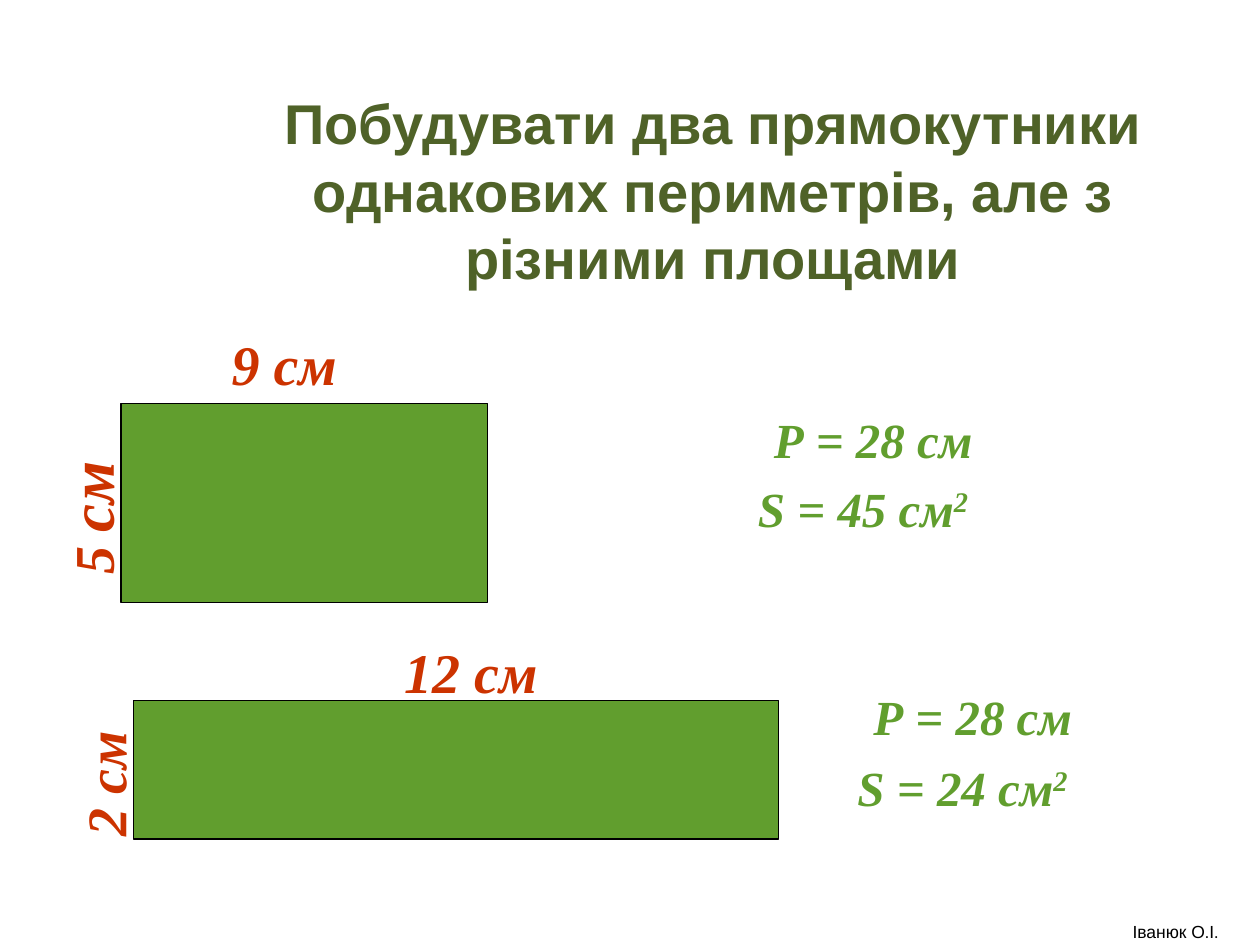
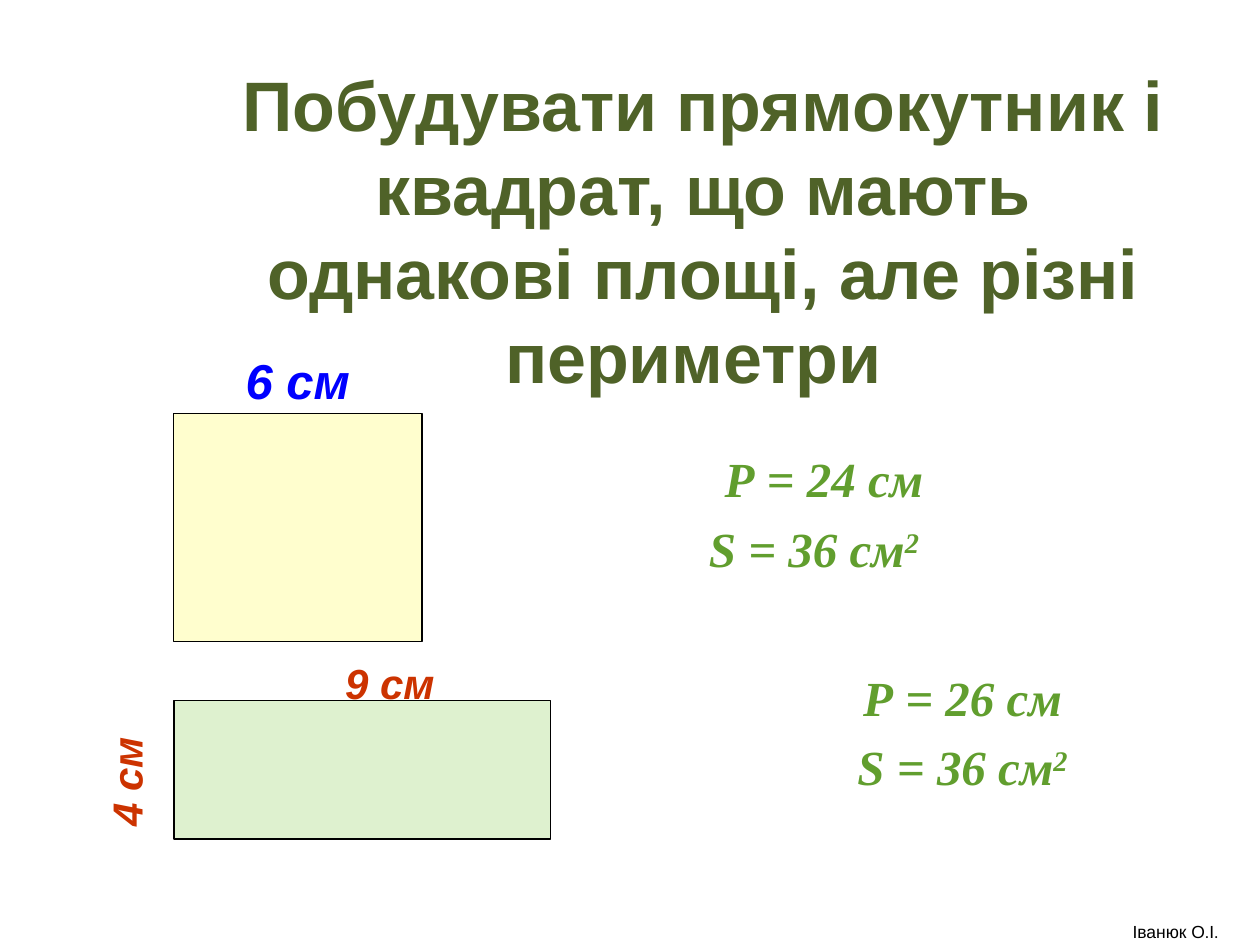
from dataclasses import dataclass, replace

from pptx import Presentation
from pptx import util as u
from pptx.dml.color import RGBColor
from pptx.enum import shapes, text

# Shared scale, colours and fonts
EMU_PER_PX = 9144  # 100 px to the inch
SLIDE_WIDTH, SLIDE_HEIGHT = 1000, 750
OLIVE, GREEN, RED, BLUE = "4F6228", "619E2E", "CC3300", "0000FF"
CREAM, MINT, BLACK = "FFFECE", "DEF1CF", "000000"
SANS, SERIF, PAGELLA = "Arial", "Times New Roman", "TeX Gyre Pagella"


@dataclass(frozen=True)
class Box:
    left: int
    top: int
    width: int
    height: int


@dataclass(frozen=True)
class Style:
    size: int
    font: str
    color: str
    bold: bool = True
    italic: bool = True
    superscript: bool = False


@dataclass(frozen=True)
class Run:
    words: str
    style: Style


@dataclass(frozen=True)
class SideLabel:
    box: Box
    runs: tuple[Run, ...]
    vertical: bool = False
    wrap: bool = False


@dataclass(frozen=True)
class Figure:
    box: Box
    fill: str
    labels: tuple[SideLabel, ...]


@dataclass(frozen=True)
class Result:
    """Perimeter line with the area line below it."""
    left: int
    top: int
    perimeter: int
    area: int
    area_shift: int = -8
    line_step: int = 56


@dataclass(frozen=True)
class Task:
    title: str
    title_size: int
    title_box: Box
    figures: tuple[Figure, ...]
    results: tuple[Result, ...]


SIDE = Style(32, SERIF, RED)
SIDE_END = Run(" ", Style(12, SANS, "003300", italic=False))
SMALL_SIDE = Style(24, SANS, RED)
FORMULA = Style(28, SERIF, GREEN)
SQUARED = replace(FORMULA, superscript=True)
AUTHOR = Style(10, SANS, BLACK, bold=False, italic=False)
AUTHOR_DOT = Run(".", replace(AUTHOR, font=PAGELLA))
AUTHOR_BOX = Box(866, 726, 134, 24)
AUTHOR_RUNS = (Run("Іванюк О", AUTHOR), AUTHOR_DOT, Run("І", AUTHOR), AUTHOR_DOT)

TASKS = (
    Task(
        "Побудувати два прямокутники однакових периметрів, але з різними площами",
        32, Box(169, 99, 794, 103),
        (
            Figure(Box(106, 556, 512, 110), GREEN, (
                SideLabel(Box(311, 501, 130, 64), (Run("12 см", SIDE), SIDE_END)),
                SideLabel(Box(29, 588, 108, 64), (Run("2 см", SIDE), SIDE_END), vertical=True),
            )),
            Figure(Box(96, 320, 291, 158), GREEN, (
                SideLabel(Box(174, 257, 150, 64), (Run("9 см", SIDE), SIDE_END), wrap=True),
                SideLabel(Box(13, 373, 115, 70), (
                    Run("5 ", SIDE),
                    Run("см", replace(SIDE, size=36)),
                    Run(" ", replace(SIDE_END.style, size=14)),
                ), vertical=True),
            )),
        ),
        (Result(555, 320, 28, 45, line_step=55), Result(634, 540, 28, 24)),
    ),
    Task(
        "Побудувати прямокутник і квадрат, що мають однакові площі, але різні периметри ",
        40, Box(161, 131, 794, 103),
        (
            Figure(Box(138, 328, 197, 181), CREAM, (
                SideLabel(Box(185, 273, 115, 57), (Run("6 см", Style(28, SANS, BLUE)),),
                          wrap=True),
            )),
            Figure(Box(138, 556, 299, 110), MINT, (
                SideLabel(Box(264, 517, 105, 50), (Run("9 см", SMALL_SIDE),), wrap=True),
                SideLabel(Box(45, 586, 110, 50), (Run("4 см", SMALL_SIDE),),
                          vertical=True, wrap=True),
            )),
        ),
        (Result(626, 525, 26, 36, area_shift=0, line_step=55), Result(516, 351, 24, 36)),
    ),
)


def px(length: int) -> u.Emu:
    return u.Emu(length * EMU_PER_PX)


def rgb(color: str) -> RGBColor:
    return RGBColor.from_string(color)


def place(box: Box) -> tuple[u.Emu, ...]:
    return px(box.left), px(box.top), px(box.width), px(box.height)


def add_run(paragraph, run: Run) -> None:
    piece = paragraph.add_run()
    piece.text = run.words
    font, style = piece.font, run.style
    font.size = u.Pt(style.size)
    font.name = style.font
    font.bold = style.bold
    font.italic = style.italic
    font.color.rgb = rgb(style.color)
    if style.superscript:
        piece._r.get_or_add_rPr().set("baseline", "30000")


def add_text(parent, box: Box, runs: tuple[Run, ...], *, centred: bool = True,
             middle: bool = False, wrap: bool = True, grow: bool = False,
             space_before: float = 0, rotation: int = 0) -> None:
    holder = parent.add_textbox(*place(box))
    holder.rotation = rotation
    frame = holder.text_frame
    frame.word_wrap = wrap
    frame.auto_size = (text.MSO_AUTO_SIZE.SHAPE_TO_FIT_TEXT if grow
                       else text.MSO_AUTO_SIZE.NONE)
    frame.vertical_anchor = text.MSO_ANCHOR.MIDDLE if middle else text.MSO_ANCHOR.TOP
    paragraph = frame.paragraphs[0]
    paragraph.alignment = text.PP_ALIGN.CENTER if centred else text.PP_ALIGN.LEFT
    paragraph.space_before = u.Pt(space_before)
    for run in runs:
        add_run(paragraph, run)


def add_figure(slide, figure: Figure) -> None:
    members = slide.shapes.add_group_shape().shapes
    rectangle = members.add_shape(shapes.MSO_SHAPE.RECTANGLE, *place(figure.box))
    rectangle.shadow.inherit = False
    rectangle.fill.solid()
    rectangle.fill.fore_color.rgb = rgb(figure.fill)
    rectangle.line.color.rgb = rgb(BLACK)
    rectangle.line.width = u.Pt(0.75)
    for label in figure.labels:
        add_text(members, label.box, label.runs, centred=False, wrap=label.wrap,
                 grow=True, rotation=270 if label.vertical else 0)


def add_result(slide, result: Result) -> None:
    perimeter_box = Box(result.left, result.top, 276, 57)
    area_box = replace(perimeter_box, left=result.left + result.area_shift,
                       top=result.top + result.line_step)
    perimeter = (Run(f"Р = {result.perimeter} см", FORMULA),)
    area = (Run(f"S = {result.area} см", FORMULA), Run("2", SQUARED))
    for box, runs in ((perimeter_box, perimeter), (area_box, area)):
        add_text(slide.shapes, box, runs, grow=True, space_before=17.5)


def add_task(deck, task: Task) -> None:
    slide = deck.slides.add_slide(deck.slide_layouts[6])
    # Title
    title_style = Style(task.title_size, SANS, OLIVE, italic=False)
    add_text(slide.shapes, task.title_box, (Run(task.title, title_style),), middle=True)
    # Figures with their sides, then perimeters and areas
    for figure in task.figures:
        add_figure(slide, figure)
    for result in task.results:
        add_result(slide, result)
    # Footer
    add_text(slide.shapes, AUTHOR_BOX, AUTHOR_RUNS)


def main() -> None:
    deck = Presentation()
    deck.slide_width, deck.slide_height = px(SLIDE_WIDTH), px(SLIDE_HEIGHT)
    for task in TASKS:
        add_task(deck, task)
    deck.save("out.pptx")


if __name__ == "__main__":
    main()
